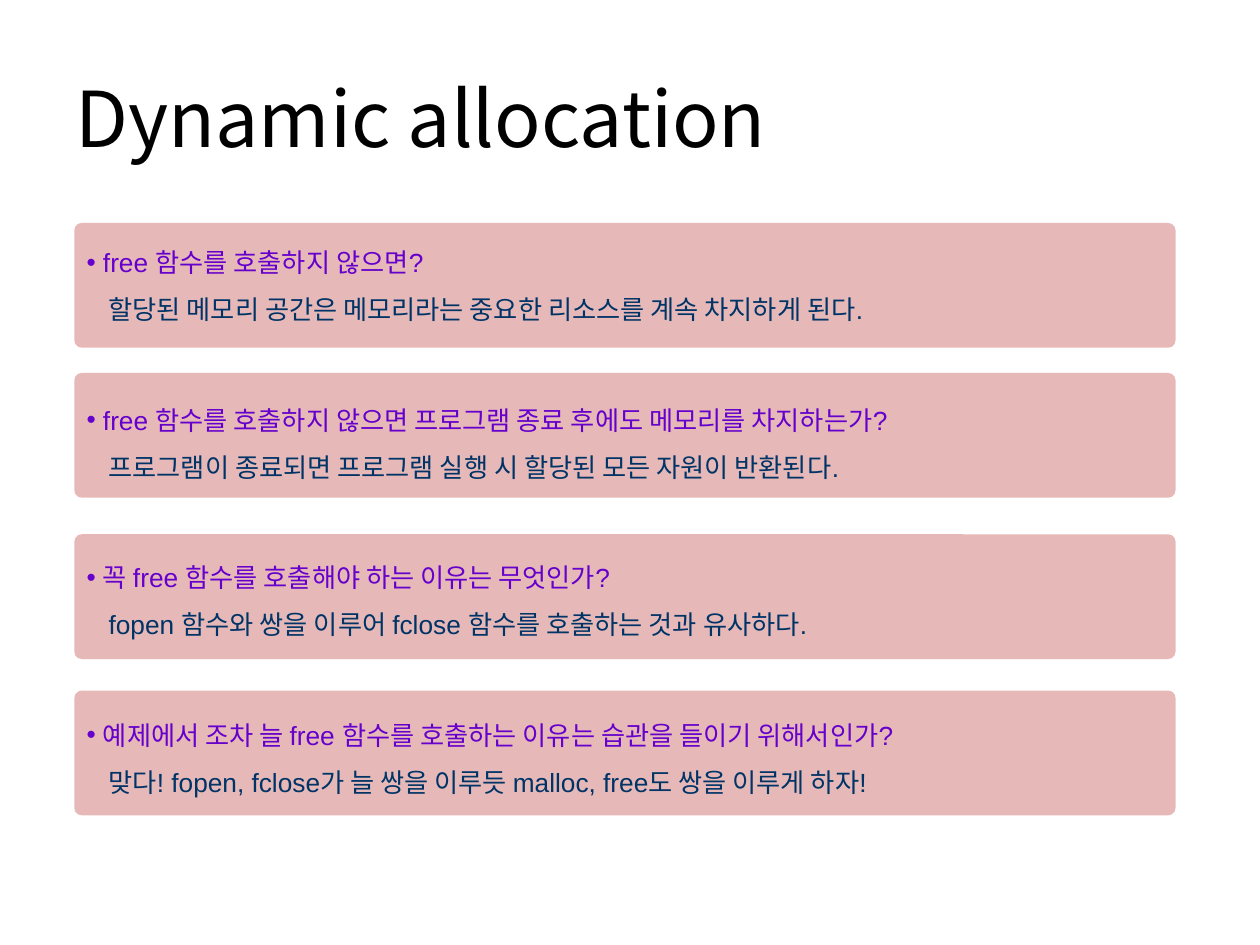
from lxml.etree import SubElement
from pptx import Presentation
from pptx.dml.color import RGBColor
from pptx.enum.shapes import MSO_SHAPE
from pptx.enum.text import MSO_ANCHOR
from pptx.oxml.ns import qn
from pptx.util import Pt

BLACK = RGBColor(0x00, 0x00, 0x00)
PINK = RGBColor(0xE6, 0xB9, 0xB8)
PURPLE = RGBColor(0x66, 0x00, 0xCC)
NAVY = RGBColor(0x00, 0x33, 0x66)
KOREAN_FONT = "Noto Sans CJK KR"

CARD_LEFT, CARD_WIDTH, CARD_HEIGHT = 42.5, 629.3, 71.3
CARD_TOPS = (127.4, 213.1, 305.3, 394.6)
QUESTION_GAP = 36

QUESTIONS = (
    ("free 함수를 호출하지 않으면?",
     "할당된 메모리 공간은 메모리라는 중요한 리소스를 계속 차지하게 된다."),
    ("free 함수를 호출하지 않으면 프로그램 종료 후에도 메모리를 차지하는가?",
     "프로그램이 종료되면 프로그램 실행 시 할당된 모든 자원이 반환된다."),
    ("꼭 free 함수를 호출해야 하는 이유는 무엇인가?",
     "fopen 함수와 쌍을 이루어 fclose 함수를 호출하는 것과 유사하다."),
    ("예제에서 조차 늘 free 함수를 호출하는 이유는 습관을 들이기 위해서인가?",
     "맞다! fopen, fclose가 늘 쌍을 이루듯 malloc, free도 쌍을 이루게 하자!"),
)


class SlideBuilder:
    """Holds the text styles and the current page, and adds each kind of element."""

    title_font = {"name": KOREAN_FONT, "size": Pt(44)}
    body_font = {"name": "Arial", "size": Pt(15)}
    body_spacing = {"line_spacing": Pt(27)}

    def __init__(self, page):
        self.page = page

    def apply(self, target, values):
        for name, value in values.items():
            setattr(target, name, value)

    def span(self, para, text, font, color):
        span = para.add_run()
        span.text = text
        self.apply(span.font, font)
        span.font.color.rgb = color
        SubElement(span.font._element, qn("a:ea"), typeface=KOREAN_FONT)

    def text_box(self, left, top, width, height, anchor):
        box = self.page.shapes.add_textbox(Pt(left), Pt(top), Pt(width), Pt(height))
        self.apply(box.text_frame, {"word_wrap": True, "vertical_anchor": anchor})
        return box.text_frame

    def title(self, text):
        frame = self.text_box(36, 21.6, 648, 90, MSO_ANCHOR.MIDDLE)
        self.span(frame.paragraphs[0], text, self.title_font, BLACK)

    def card(self, top):
        card = self.page.shapes.add_shape(
            MSO_SHAPE.ROUNDED_RECTANGLE,
            Pt(CARD_LEFT), Pt(top), Pt(CARD_WIDTH), Pt(CARD_HEIGHT))
        card.adjustments[0] = 0.06
        card.shadow.inherit = False
        card.fill.solid()
        card.fill.fore_color.rgb = PINK
        card.line.fill.background()

    def body_line(self, para, text, color, margin, bullet=False):
        self.apply(para, self.body_spacing)
        properties = para._p.get_or_add_pPr()
        properties.set("marL", str(Pt(margin)))
        properties.set("indent", str(Pt(-margin) if bullet else 0))
        if bullet:
            SubElement(properties, qn("a:buFont"), typeface="Arial")
            SubElement(properties, qn("a:buChar"), char="•")
        self.span(para, text, self.body_font, color)

    def questions(self, pairs):
        frame = self.text_box(CARD_LEFT, 128.2, 623.5, 339.8, MSO_ANCHOR.TOP)
        for index, (question, answer) in enumerate(pairs):
            para = frame.add_paragraph() if index else frame.paragraphs[0]
            para.space_before = Pt(QUESTION_GAP if index else 0)
            self.body_line(para, question, PURPLE, 9.3, bullet=True)
            self.body_line(frame.add_paragraph(), answer, NAVY, 12.5)


def main():
    deck = Presentation()
    deck.slide_width, deck.slide_height = Pt(720), Pt(540)
    builder = SlideBuilder(deck.slides.add_slide(deck.slide_layouts[6]))
    builder.title("Dynamic allocation")
    for top in CARD_TOPS:
        builder.card(top)
    builder.questions(QUESTIONS)
    deck.save("out.pptx")


if __name__ == "__main__":
    main()
